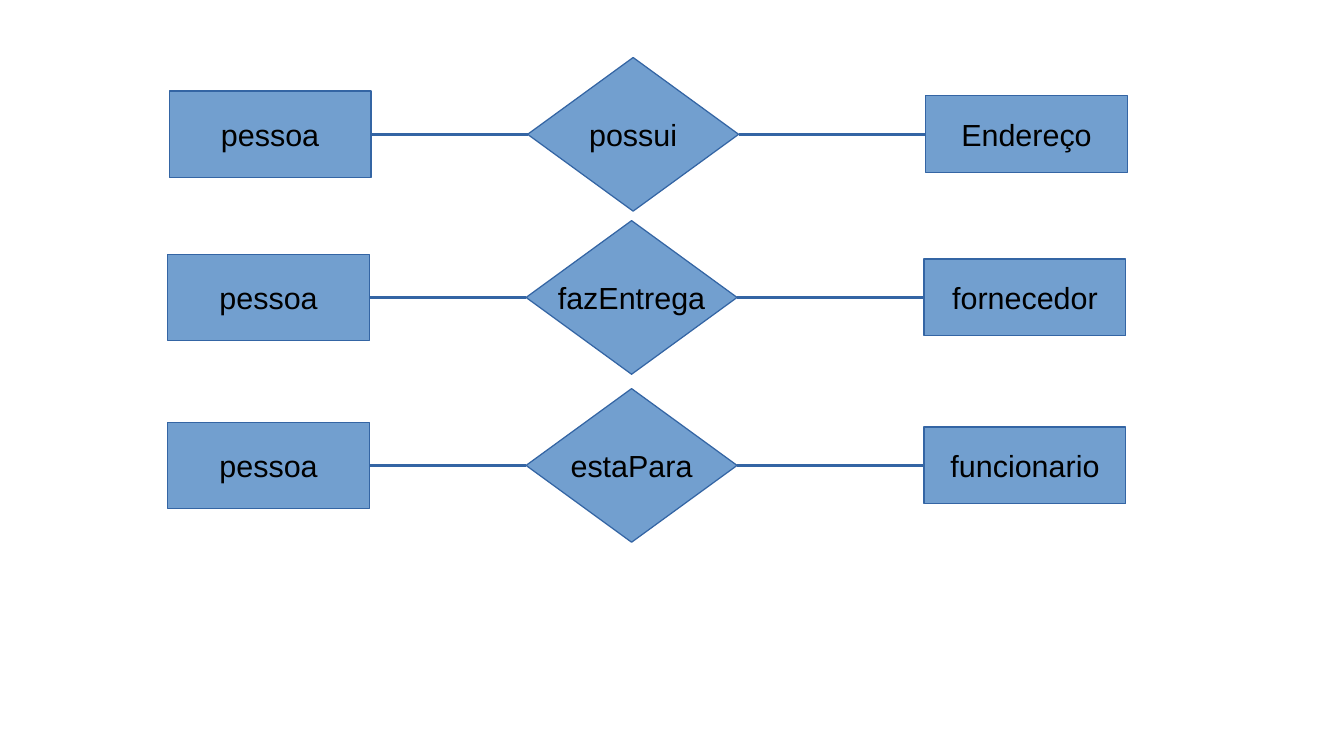
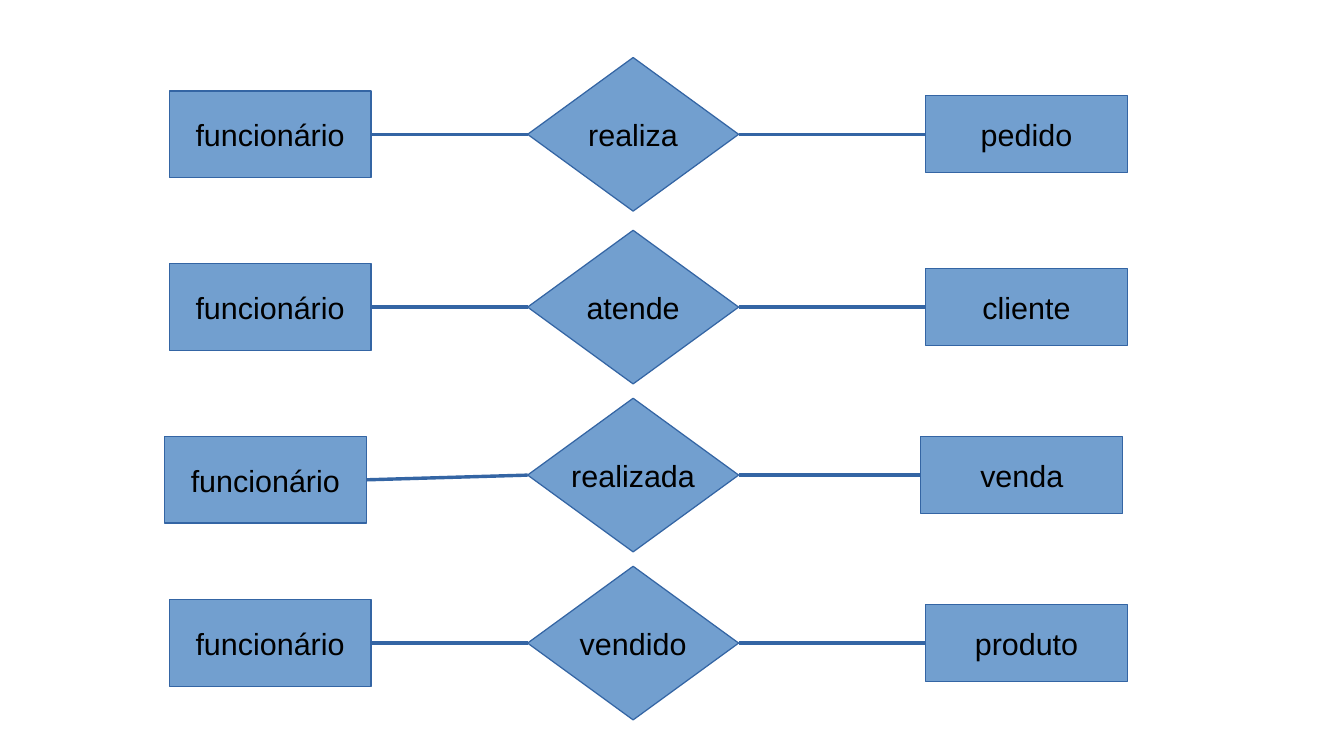
from dataclasses import dataclass
from pptx import Presentation
from pptx import util as u
from pptx.dml.color import RGBColor
from pptx.enum import shapes, text
from pptx.oxml.ns import qn
from lxml import etree

Pt = u.Pt
Kind = shapes.MSO_SHAPE


@dataclass(frozen=True)
class Theme:
    fill: RGBColor = RGBColor(0x72, 0x9F, 0xCF)
    edge: RGBColor = RGBColor(0x34, 0x65, 0xA4)
    ink: RGBColor = RGBColor(0, 0, 0)
    font: str = "Arial"
    size: float = 18
    hair: float = 0


LOOK = Theme()
WIDE, HIGH = 793.7, 446.4
ROW_H = 90.7                    # height of a row, set by its diamond
ENT_W, REL_W = 119.2, 124.6     # entity and relation widths
LEFT_H, RIGHT_H = 51.1, 45.4    # entity heights
REL_X, RIGHT_X = 211.7, 446.7   # offsets from the row's left edge


def apply(obj, vals):
    for key, val in vals.items():
        setattr(obj, key, val)


def edge(line):
    line.color.rgb = LOOK.edge
    line.width = Pt(LOOK.hair)


def node(slide, kind, label, x, mid, w, h):
    """A labelled shape centred on the height mid."""
    box = slide.shapes.add_shape(kind, Pt(x), Pt(mid - h / 2), Pt(w), Pt(h))
    box.shadow.inherit = False
    box.fill.solid()
    box.fill.fore_color.rgb = LOOK.fill
    edge(box.line)
    frame = box.text_frame
    apply(frame, dict(word_wrap=False, vertical_anchor=text.MSO_ANCHOR.MIDDLE,
                      margin_left=Pt(7.2), margin_right=Pt(7.2),
                      margin_top=Pt(3.6), margin_bottom=Pt(3.6)))
    para = frame.paragraphs[0]
    apply(para, dict(text=label, alignment=text.PP_ALIGN.CENTER))
    apply(para.font, dict(name=LOOK.font, size=Pt(LOOK.size)))
    para.font.color.rgb = LOOK.ink
    return box


def link(slide, start, end):
    """A line from the right side of start to the left side of end."""
    line = slide.shapes.add_connector(shapes.MSO_CONNECTOR.STRAIGHT, 0, 0, 0, 0)
    line.begin_connect(start, 3)
    line.end_connect(end, 1)
    edge(line.line)
    etree.SubElement(line._element.spPr, qn("a:effectLst"))


def row(slide, x, y, names, shift=0, drop=0):
    """Entity, relation, entity; shift moves both entities, drop the left one."""
    mid = y + ROW_H / 2
    left, verb, right = names
    ent = x + shift
    a = node(slide, Kind.RECTANGLE, left, ent, mid + drop, ENT_W, LEFT_H)
    b = node(slide, Kind.DIAMOND, verb, x + REL_X, mid, REL_W, ROW_H)
    c = node(slide, Kind.RECTANGLE, right, ent + RIGHT_X, mid, ENT_W, RIGHT_H)
    link(slide, a, b)
    link(slide, b, c)


def page(deck, rows):
    slide = deck.slides.add_slide(deck.slide_layouts[6])
    for args in rows:
        row(slide, *args)


# Each row: left, top, names, then optional entity shift and drop
PAGES = [
    [(99.9, 34, ("pessoa", "possui", "Endereço")),
     (99, 130.3, ("pessoa", "fazEntrega", "fornecedor")),
     (99, 229.5, ("pessoa", "estaPara", "funcionario"))],
    [(99.9, 34, ("funcionário", "realiza", "pedido")),
     (99.9, 136, ("funcionário", "atende", "cliente")),
     (99.9, 235.2, ("funcionário", "realizada", "venda"), -2.8, 2.8),
     (99.9, 334.4, ("funcionário", "vendido", "produto"))],
]


def main():
    deck = Presentation()
    apply(deck, dict(slide_width=Pt(WIDE), slide_height=Pt(HIGH)))
    for rows in PAGES:
        page(deck, rows)
    deck.save("out.pptx")


if __name__ == "__main__":
    main()
